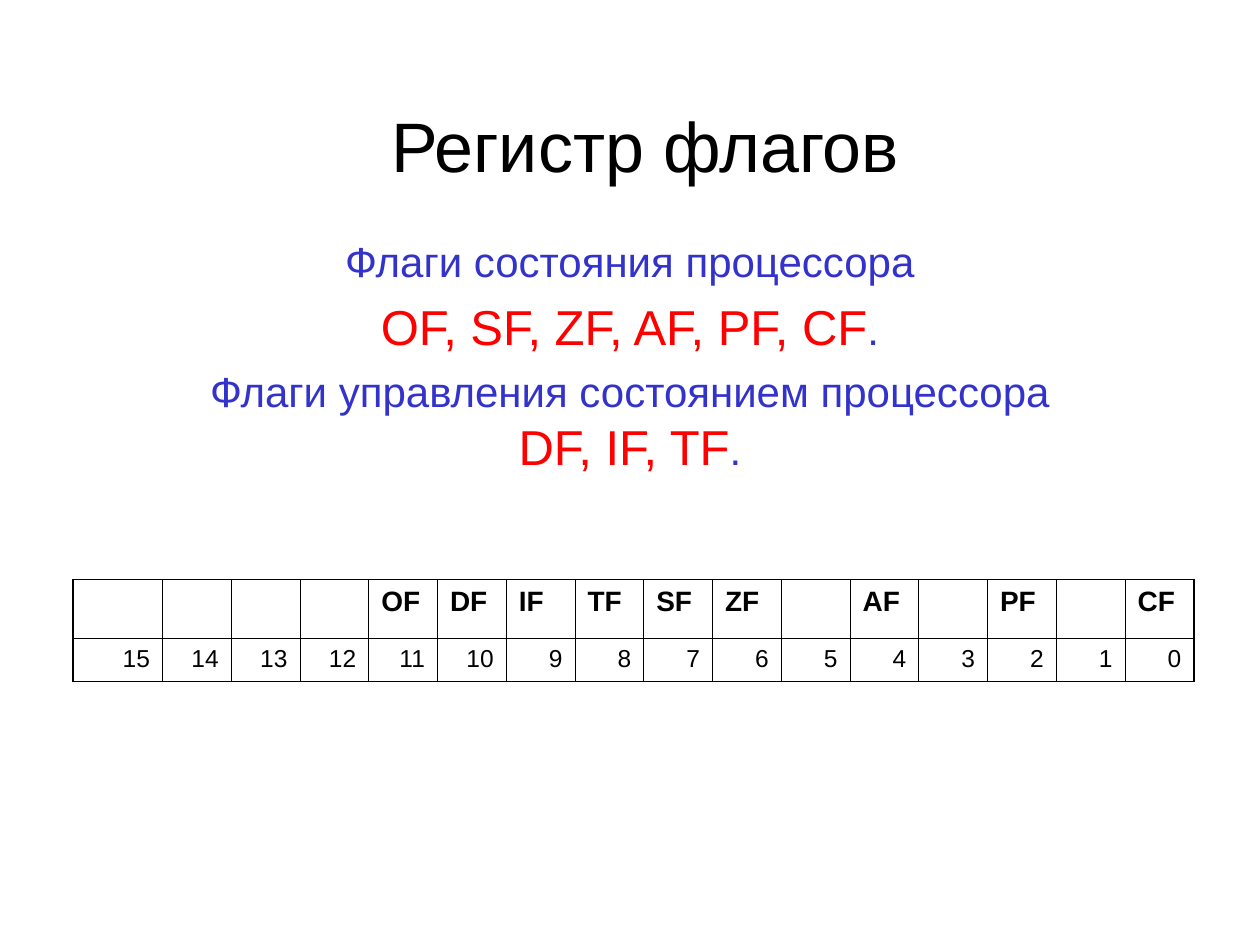
from lxml import etree
from pptx import Presentation
from pptx.dml.color import RGBColor
from pptx.enum.text import MSO_ANCHOR, PP_ALIGN
from pptx.oxml.ns import qn
from pptx.util import Inches, Pt

LEFT, CENTER, RIGHT = PP_ALIGN.LEFT, PP_ALIGN.CENTER, PP_ALIGN.RIGHT
TOP, MIDDLE = MSO_ANCHOR.TOP, MSO_ANCHOR.MIDDLE
BLACK, BLUE, RED = "000000", "3333CC", "FF0000"
THIN, THICK = 0.45, 1.08

HEADING = {"size": Pt(40), "color": BLACK}
LABEL = {"size": Pt(24), "color": BLUE}
FLAGS = {"size": Pt(28), "color": RED}
FLAG_NAME = {"size": Pt(16), "color": BLACK, "bold": True}
BIT_NUMBER = {"size": Pt(14), "color": BLACK, "bold": False}

title = [[("Регистр флагов", HEADING)]]
flag_groups = [
    [("Флаги состояния процессора", LABEL)],
    [("OF, SF, ZF, AF, PF, CF", FLAGS), (".", LABEL)],
    [("Флаги управления состоянием процессора ", LABEL),
     ("DF, IF, TF", FLAGS), (".", LABEL)],
]
flag_names = ["", "", "", "", "OF", "DF", "IF", "TF",
              "SF", "ZF", "", "AF", "", "PF", "", "CF"]
bit_numbers = [str(bit) for bit in reversed(range(len(flag_names)))]
# texts, run format, alignment, space before, row height
register_rows = [
    (flag_names, FLAG_NAME, LEFT, 4, 0.47),
    (bit_numbers, BIT_NUMBER, RIGHT, 3.5, 0.34),
]
TABLE_LEFT, TABLE_TOP, TABLE_WIDTH, FIRST_COLUMN = 0.58, 4.6, 8.9, 0.71


def rgb(hex_color):
    return RGBColor.from_string(hex_color)


def write_paragraph(paragraph, runs, align, space_before):
    paragraph.alignment = align
    paragraph.space_before = Pt(space_before)
    for text, style in runs:
        run = paragraph.add_run()
        run.text = text
        run.font.name = "Arial"
        for key, value in style.items():
            if key == "color":
                run.font.color.rgb = rgb(value)
            else:
                setattr(run.font, key, value)


def add_text(slide, box, paragraphs, anchor, space_before):
    frame = slide.shapes.add_textbox(*map(Inches, box)).text_frame
    frame.word_wrap = True
    frame.vertical_anchor = anchor
    for index, runs in enumerate(paragraphs):
        paragraph = frame.add_paragraph() if index else frame.paragraphs[0]
        write_paragraph(paragraph, runs, CENTER, space_before)


def set_borders(cell, widths):
    properties = cell._tc.get_or_add_tcPr()
    for side, width in widths.items():
        line = etree.SubElement(properties, qn(f"a:ln{side}"), w=str(Pt(width)))
        fill = etree.SubElement(line, qn("a:solidFill"))
        etree.SubElement(fill, qn("a:srgbClr"), val=BLACK)


def add_register(slide):
    row_count, column_count = len(register_rows), len(flag_names)
    heights = [row[-1] for row in register_rows]
    table = slide.shapes.add_table(
        row_count, column_count, Inches(TABLE_LEFT), Inches(TABLE_TOP),
        Inches(TABLE_WIDTH), Inches(sum(heights))).table
    table.first_row = table.horz_banding = False
    other_column = (TABLE_WIDTH - FIRST_COLUMN) / (column_count - 1)
    for c, column in enumerate(table.columns):
        column.width = Inches(other_column if c else FIRST_COLUMN)

    for r, (texts, style, align, space_before, height) in enumerate(register_rows):
        table.rows[r].height = Inches(height)
        for c, text in enumerate(texts):
            cell = table.cell(r, c)
            on_edge = {"L": c == 0, "R": c == column_count - 1,
                       "T": r == 0, "B": r == row_count - 1}
            set_borders(cell, {side: THICK if outer else THIN
                               for side, outer in on_edge.items()})
            cell.fill.background()
            if text:
                write_paragraph(cell.text_frame.paragraphs[0],
                                [(text, style)], align, space_before)


def main():
    deck = Presentation()
    deck.slide_width, deck.slide_height = Inches(10), Inches(7.5)
    slide = deck.slides.add_slide(deck.slide_layouts[6])
    add_text(slide, (0.87, 0.52, 8.5, 1.25), title, MIDDLE, 0)
    add_text(slide, (1.5, 1.82, 7, 2.25), flag_groups, TOP, 6)
    add_register(slide)
    deck.save("out.pptx")


if __name__ == "__main__":
    main()
